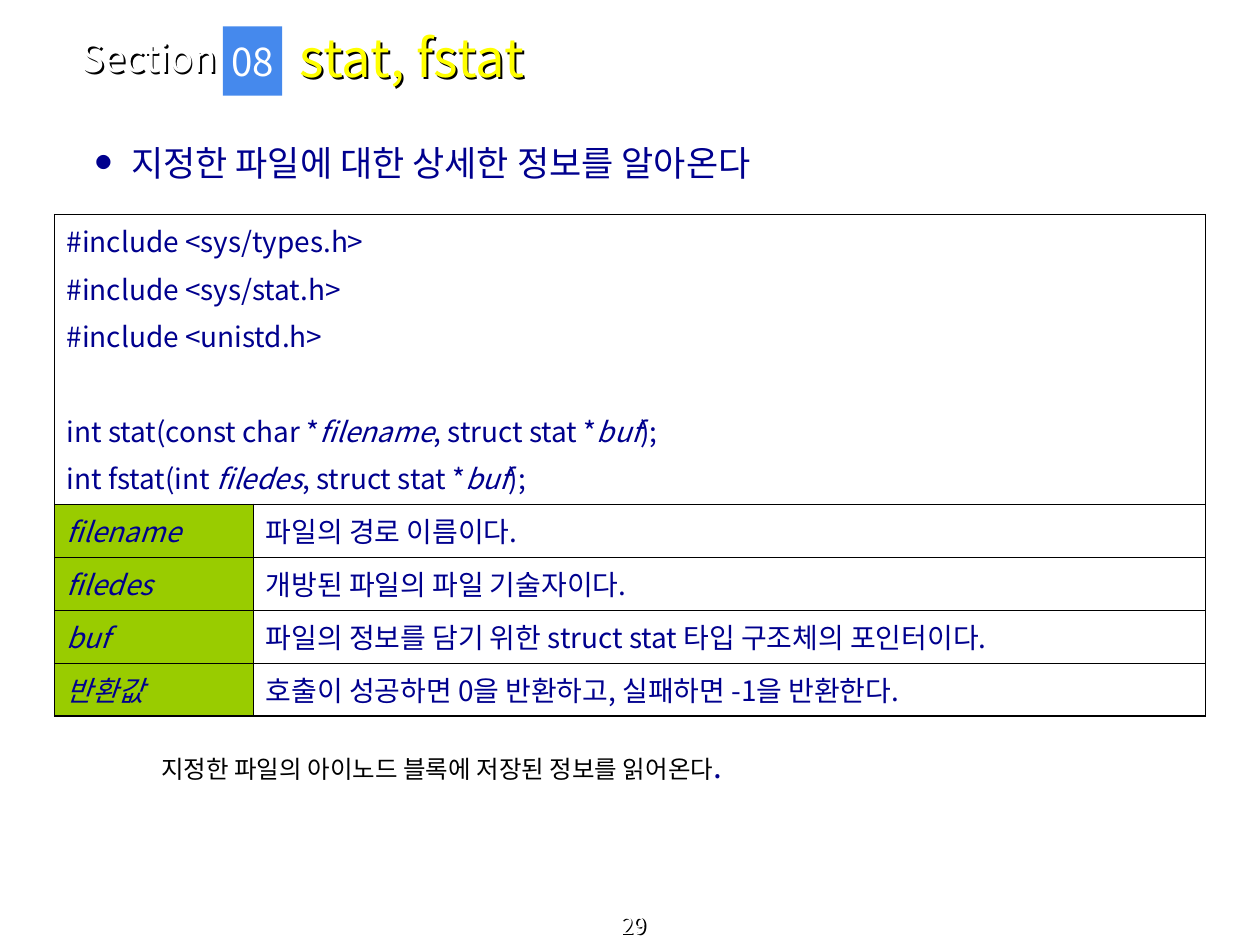
import dataclasses

import lxml.etree
import pptx
import pptx.dml.color
import pptx.enum.shapes
import pptx.enum.text
import pptx.oxml.ns
import pptx.util

Inches = pptx.util.Inches
Pt = pptx.util.Pt
Align = pptx.enum.text.PP_ALIGN
Anchor = pptx.enum.text.MSO_ANCHOR
qn = pptx.oxml.ns.qn

FONT = "Noto Sans CJK KR"
NAVY, WHITE, BLACK = "00008E", "FFFFFF", "000000"
YELLOW, BLUE, GREEN = "FFFF00", "4589ED", "99CC00"
THIN, THICK = 0.45, 1.08


@dataclasses.dataclass
class Area:
    left: float
    top: float
    width: float
    height: float

    def lengths(self) -> list:
        return [Inches(value) for value in dataclasses.astuple(self)]


@dataclasses.dataclass
class CodeLine:
    """A line of code; text between underscores is italic."""
    text: str
    before: float = 4


@dataclasses.dataclass
class Parameter:
    name: str
    meaning: str


CODE = [
    CodeLine("#include <sys/types.h>", 0),
    CodeLine("#include <sys/stat.h>"),
    CodeLine("#include <unistd.h>"),
    CodeLine("int stat(const char *_filename_, struct stat *_buf_);", 31),
    CodeLine("int fstat(int _filedes_, struct stat *_buf_);"),
]
PARAMETERS = [
    Parameter("filename", "파일의 경로 이름이다."),
    Parameter("filedes", "개방된 파일의 파일 기술자이다."),
    Parameter("buf", "파일의 정보를 담기 위한 struct stat 타입 구조체의 포인터이다."),
    Parameter("반환값", "호출이 성공하면 0을 반환하고, 실패하면 -1을 반환한다."),
]


def rgb(color: str):
    return pptx.dml.color.RGBColor.from_string(color)


def add_text(para, text: str, size: float = 16, color: str = NAVY,
             italic: bool = False) -> None:
    span = para.add_run()
    span.text = text
    span.font.size = Pt(size)
    span.font.italic = italic
    span.font.color.rgb = rgb(color)
    span.font.name = FONT
    east_asian = lxml.etree.Element(qn("a:ea"), typeface=FONT)
    span.font._element.find(qn("a:latin")).addnext(east_asian)


def add_shadow(box) -> None:
    """Give an unfilled box a shadow, which its text then casts."""
    box.fill.background()
    effects = lxml.etree.SubElement(box._element.spPr, qn("a:effectLst"))
    outer = lxml.etree.SubElement(effects, qn("a:outerShdw"),
                                  dist="17960", dir="2700000")
    lxml.etree.SubElement(outer, qn("a:srgbClr"), val=BLACK)


def prepare(box, anchor=Anchor.TOP, align=Align.LEFT, wrap: bool = True,
            shadow: bool = False):
    """Set up the frame of a box and return its first paragraph."""
    frame = box.text_frame
    frame.auto_size = pptx.enum.text.MSO_AUTO_SIZE.NONE
    frame.word_wrap = wrap
    frame.vertical_anchor = anchor
    if shadow:
        add_shadow(box)
    para = frame.paragraphs[0]
    para.alignment = align
    para.space_before = Pt(0)
    return para


def place(box, area: Area):
    box.left, box.top, box.width, box.height = area.lengths()
    return box


def add_bullet(para, symbol: str, color: str, indent: float) -> None:
    properties = para._p.get_or_add_pPr()
    properties.set("marL", str(Inches(indent)))
    properties.set("indent", str(-Inches(indent)))
    bullet_color = lxml.etree.SubElement(properties, qn("a:buClr"))
    lxml.etree.SubElement(bullet_color, qn("a:srgbClr"), val=color)
    lxml.etree.SubElement(properties, qn("a:buSzPct"), val="45000")
    lxml.etree.SubElement(properties, qn("a:buFont"), typeface=FONT)
    lxml.etree.SubElement(properties, qn("a:buChar"), char=symbol)


def set_borders(cell, **widths: float) -> None:
    properties = cell._tc.get_or_add_tcPr()
    for index, side in enumerate(("L", "R", "T", "B")):
        line = lxml.etree.Element(qn(f"a:ln{side}"), w=str(Pt(widths[side])))
        fill = lxml.etree.SubElement(line, qn("a:solidFill"))
        lxml.etree.SubElement(fill, qn("a:srgbClr"), val=BLACK)
        properties.insert(index, line)


def format_cell(cell, fill: str) -> None:
    cell.margin_left = cell.margin_right = Inches(0.1)
    cell.margin_top = cell.margin_bottom = Inches(0.05)
    cell.fill.solid()
    cell.fill.fore_color.rgb = rgb(fill)


def add_reference_table(page) -> None:
    area = Area(0.43, 1.7, 9.14, 3.98)
    row_count = 1 + len(PARAMETERS)
    table = page.shapes.add_table(row_count, 2, *area.lengths()).table
    table.first_row = table.horz_banding = False
    for column, width in zip(table.columns, (1.58, 7.56)):
        column.width = Inches(width)
    for index, row in enumerate(table.rows):
        row.height = Inches(0.42 if index else 2.3)
        bottom = THICK if index == row_count - 1 else THIN
        for column, cell in enumerate(row.cells):
            format_cell(cell, GREEN if index and column == 0 else WHITE)
            set_borders(cell, L=THIN, R=THIN, T=THIN, B=bottom)

    synopsis = table.cell(0, 0)
    synopsis.merge(table.cell(0, 1))
    frame = synopsis.text_frame
    for index, line in enumerate(CODE):
        para = frame.add_paragraph() if index else frame.paragraphs[0]
        para.space_before = Pt(line.before)
        for number, part in enumerate(line.text.split("_")):
            add_text(para, part, italic=number % 2 == 1)

    for index, parameter in enumerate(PARAMETERS, start=1):
        name, meaning = table.rows[index].cells
        add_text(name.text_frame.paragraphs[0], parameter.name, italic=True)
        add_text(meaning.text_frame.paragraphs[0], parameter.meaning)


def add_label(page, area: Area, **frame_format):
    return prepare(page.shapes.add_textbox(*area.lengths()), **frame_format)


def main() -> None:
    deck = pptx.Presentation()
    deck.slide_width, deck.slide_height = Inches(10), Inches(7.5)
    page = deck.slides.add_slide(deck.slide_layouts[1])

    para = add_label(page, Area(0.03, 7.28, 10, 0.22), anchor=Anchor.BOTTOM,
                     align=Align.CENTER, shadow=True)
    add_text(para, "29", size=13, color=WHITE)

    para = add_label(page, Area(0.55, 0.27, 1.93, 0.37),
                     anchor=Anchor.MIDDLE, shadow=True)
    add_text(para, "Section", size=22, color=WHITE)

    title = place(page.shapes.title, Area(2.28, 0.11, 6.49, 0.68))
    para = prepare(title, anchor=Anchor.MIDDLE, shadow=True)
    add_text(para, "stat, fstat", size=30, color=YELLOW)

    number = page.shapes.add_shape(pptx.enum.shapes.MSO_SHAPE.RECTANGLE,
                                   *Area(1.77, 0.21, 0.47, 0.55).lengths())
    number.shadow.inherit = False
    number.fill.solid()
    number.fill.fore_color.rgb = rgb(BLUE)
    number.line.fill.background()
    para = prepare(number, anchor=Anchor.MIDDLE, align=Align.CENTER, wrap=False)
    add_text(para, "08", size=22, color=WHITE)

    summary = place(page.placeholders[1], Area(0.66, 1.07, 7.27, 0.47))
    para = prepare(summary)
    add_bullet(para, "●", NAVY, indent=0.28)
    add_text(para, "지정한 파일에 대한 상세한 정보를 알아온다", size=20)

    add_reference_table(page)

    para = add_label(page, Area(1.18, 5.88, 7.44, 0.47))
    add_text(para, "지정한 파일의 아이노드 블록에 저장된 정보를 읽어온다",
             size=14, color=BLACK)
    add_text(para, ".", size=18)

    deck.save("out.pptx")


if __name__ == "__main__":
    main()
